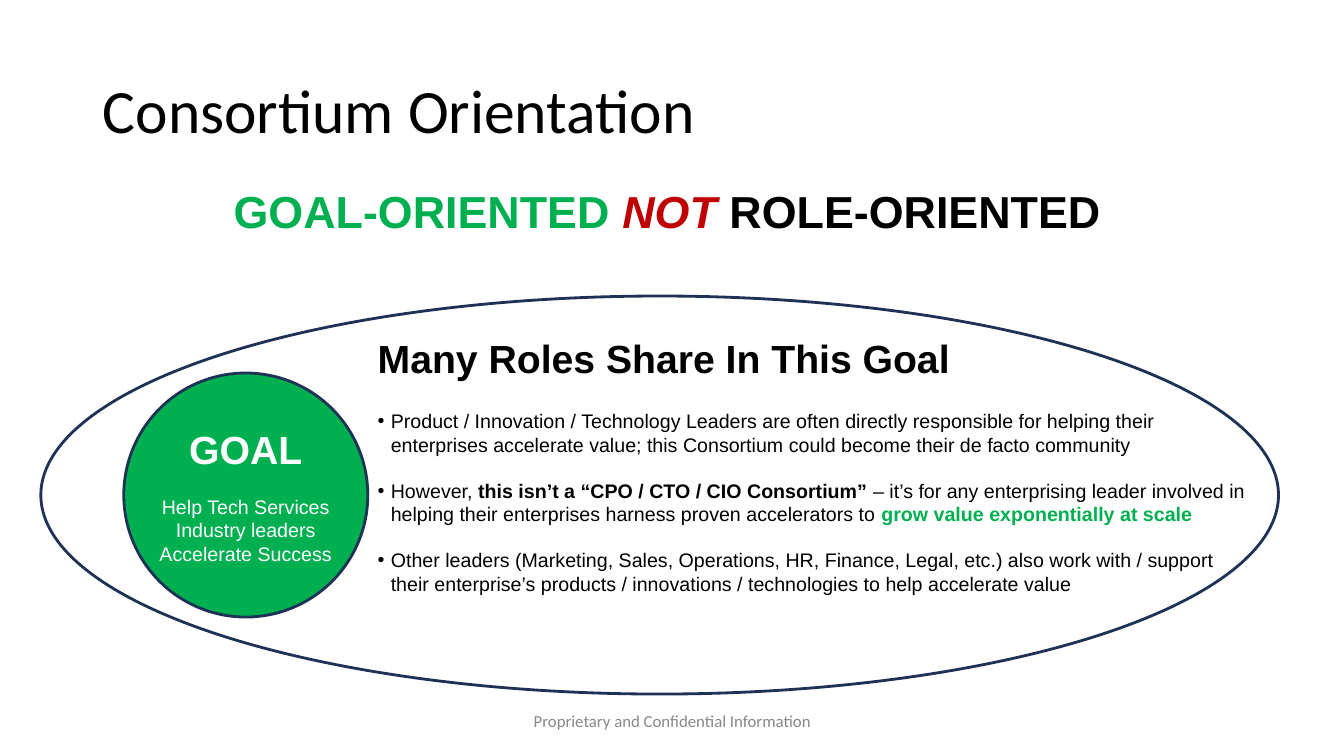
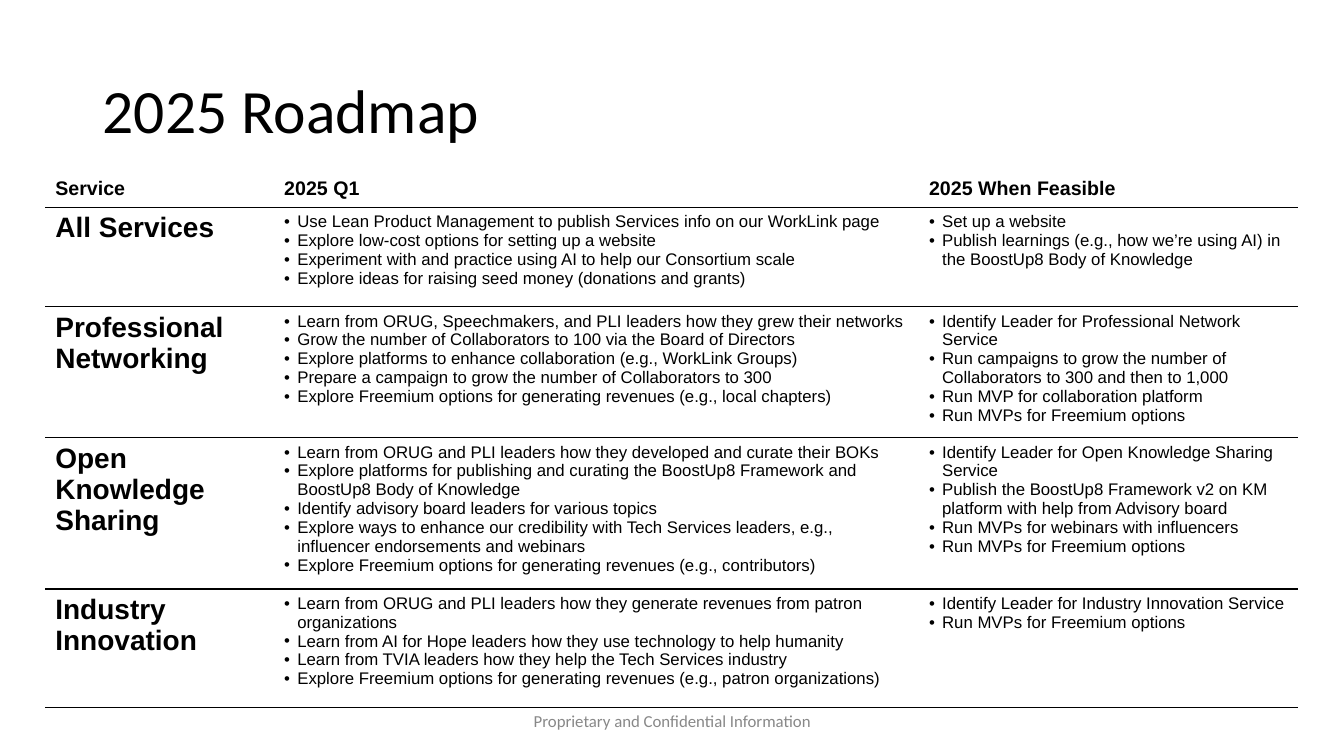
from dataclasses import dataclass

from lxml.etree import SubElement
from pptx import Presentation
from pptx.dml.color import RGBColor
from pptx.enum.shapes import MSO_SHAPE
from pptx.enum.text import MSO_ANCHOR, PP_ALIGN
from pptx.oxml.ns import qn
from pptx.util import Cm, Pt

BLACK = RGBColor(0x00, 0x00, 0x00)
WHITE = RGBColor(0xFF, 0xFF, 0xFF)
GREEN = RGBColor(0x00, 0xB0, 0x50)
RED = RGBColor(0xC0, 0x00, 0x00)
NAVY = RGBColor(0x1E, 0x32, 0x56)
GREY = RGBColor(0x88, 0x88, 0x88)
BODY_FONT = "Arial"
TITLE_FONT = "Calibri"
NO_GRID_STYLE = "{2D5ABB26-0587-4C30-8999-92F81FD0307C}"
BULLET_INDENT = Cm(0.33)
BLANK_LINE = Pt(16)


@dataclass
class Box:
    """A rectangle measured in centimetres."""

    left: float
    top: float
    width: float
    height: float

    def inner(self, left, top, width, height):
        """Return a box whose corner is counted from this box's corner."""
        return Box(self.left + left, self.top + top, width, height)

    def lengths(self):
        """Return the four lengths in the order that shapes take them."""
        return Cm(self.left), Cm(self.top), Cm(self.width), Cm(self.height)


SLIDE = Box(0, 0, 33.87, 19.05)
TITLE = Box(2.34, 1.02, 24.87, 3.68)
FOOTER = Box(11.23, 17.65, 11.43, 1.02)
MOTTO = Box(5.41, 4.67, 22.81, 2.13)
ORIENTATION = Box(1.03, 7.46, 31.19, 10.03)
ROADMAP = Box(1.14, 4.34, 31.57, 13.03)

ROLES = [
    [("Product / Innovation / Technology Leaders are often directly responsible for helping their\n"
      "enterprises accelerate value; this Consortium could become their de facto community", {})],
    [("However, ", {}),
     ("this isn’t a “CPO / CTO / CIO Consortium”", {"bold": True}),
     (" – it’s for any enterprising leader involved in\n"
      "helping their enterprises harness proven accelerators to ", {}),
     ("grow value exponentially at scale", {"bold": True, "color": GREEN})],
    [("Other leaders (Marketing, Sales, Operations, HR, Finance, Legal, etc.) also work with / support\n"
      "their enterprise’s products / innovations / technologies to help accelerate value", {})],
]

COLUMN_WIDTHS = [5.77, 16.25, 9.55]
ROW_HEIGHTS = [0.89, 2.5, 3.1, 3.56, 2.98]
HEADINGS = ["Service", "2025 Q1", "2025 When Feasible"]
SERVICES = [
    (["All Services"],
     ["Use Lean Product Management to publish Services info on our WorkLink page",
      "Explore low-cost options for setting up a website",
      "Experiment with and practice using AI to help our Consortium scale",
      "Explore ideas for raising seed money (donations and grants)"],
     ["Set up a website",
      "Publish learnings (e.g., how we’re using AI) in the BoostUp8 Body of Knowledge"]),
    (["Professional Networking"],
     ["Learn from ORUG, Speechmakers, and PLI leaders how they grew their networks",
      "Grow the number of Collaborators to 100 via the Board of Directors",
      "Explore platforms to enhance collaboration (e.g., WorkLink Groups)",
      "Prepare a campaign to grow the number of Collaborators to 300",
      "Explore Freemium options for generating revenues (e.g., local chapters)"],
     ["Identify Leader for Professional Network Service",
      "Run campaigns to grow the number of Collaborators to 300 and then to 1,000",
      "Run MVP for collaboration platform",
      "Run MVPs for Freemium options"]),
    (["Open Knowledge Sharing"],
     ["Learn from ORUG and PLI leaders how they developed and curate their BOKs",
      "Explore platforms for publishing and curating the BoostUp8 Framework and "
      "BoostUp8 Body of Knowledge",
      "Identify advisory board leaders for various topics",
      "Explore ways to enhance our credibility with Tech Services leaders, e.g., "
      "influencer endorsements and webinars",
      "Explore Freemium options for generating revenues (e.g., contributors)"],
     ["Identify Leader for Open Knowledge Sharing Service",
      "Publish the BoostUp8 Framework v2 on KM platform with help from Advisory board",
      "Run MVPs for webinars with influencers",
      "Run MVPs for Freemium options"]),
    (["Industry", "Innovation"],
     ["Learn from ORUG and PLI leaders how they generate revenues from patron organizations",
      "Learn from AI for Hope leaders how they use technology to help humanity",
      "Learn from TVIA leaders how they help the Tech Services industry",
      "Explore Freemium options for generating revenues (e.g., patron organizations)"],
     ["Identify Leader for Industry Innovation Service",
      "Run MVPs for Freemium options"]),
]


def add_run(paragraph, text, size, font=BODY_FONT, color=BLACK, bold=False, italic=False):
    """Add styled text, turning each newline into a line break."""
    for number, line in enumerate(text.split("\n")):
        if number:
            paragraph.add_line_break()
        run = paragraph.add_run()
        run.text = line
        run.font.size = Pt(size)
        run.font.name = font
        run.font.color.rgb = color
        run.font.bold = bold
        run.font.italic = italic


def add_bullet(paragraph):
    """Give a paragraph a hanging round bullet."""
    properties = paragraph._p.get_or_add_pPr()
    properties.set("marL", str(BULLET_INDENT))
    properties.set("indent", str(-BULLET_INDENT))
    color = SubElement(properties, qn("a:buClr"))
    SubElement(color, qn("a:srgbClr"), val=str(BLACK))
    SubElement(properties, qn("a:buFont"), typeface=BODY_FONT)
    SubElement(properties, qn("a:buChar"), char="•")


def next_paragraph(frame, number):
    """Return the first paragraph of a frame, or a new one after it."""
    return frame.add_paragraph() if number else frame.paragraphs[0]


def add_text(slide, box, paragraphs, size, font=BODY_FONT, anchor=MSO_ANCHOR.TOP,
             align=PP_ALIGN.LEFT, line_spacing=1.0, bulleted=False):
    """Place a text box of paragraphs, each a list of runs with their styles."""
    frame = slide.shapes.add_textbox(*box.lengths()).text_frame
    frame.word_wrap = True
    frame.vertical_anchor = anchor
    for number, runs in enumerate(paragraphs):
        paragraph = next_paragraph(frame, number)
        paragraph.alignment = align
        paragraph.line_spacing = line_spacing
        if number:
            paragraph.space_before = BLANK_LINE
        if bulleted:
            add_bullet(paragraph)
        for text, style in runs:
            add_run(paragraph, text, size, font, **style)


def add_ellipse(slide, box, fill=None):
    """Place a navy-outlined ellipse, filled if a colour is given."""
    ellipse = slide.shapes.add_shape(MSO_SHAPE.OVAL, *box.lengths())
    ellipse.shadow.inherit = False
    ellipse.line.color.rgb = NAVY
    ellipse.line.width = Pt(2)
    if fill is None:
        ellipse.fill.background()
    else:
        ellipse.fill.solid()
        ellipse.fill.fore_color.rgb = fill
    return ellipse


def add_goal(slide, box):
    """Place the green goal circle with its text."""
    frame = add_ellipse(slide, box, GREEN).text_frame
    frame.word_wrap = False
    frame.vertical_anchor = MSO_ANCHOR.MIDDLE
    frame.margin_left = frame.margin_right = frame.margin_top = frame.margin_bottom = 0
    goal = frame.paragraphs[0]
    add_run(goal, "GOAL", 28, color=WHITE, bold=True)
    mission = frame.add_paragraph()
    mission.space_before = BLANK_LINE
    add_run(mission, "Help Tech Services\nIndustry leaders\nAccelerate Success", 14, color=WHITE)
    goal.alignment = mission.alignment = PP_ALIGN.CENTER


def add_orientation(slide, box):
    """Place the wide ellipse with the goal and the roles that share it."""
    add_goal(slide, box.inner(2.09, 1.94, 6.15, 6.15))
    add_ellipse(slide, box)
    add_text(slide, box.inner(8.24, 0.85, 15.5, 1.45),
             [[("Many Roles Share In This Goal", {"bold": True})]], 28)
    add_text(slide, box.inner(8.24, 2.73, 22.76, 6.25), ROLES, 14, bulleted=True)


def fill_cell(cell, lines, size, bold=False, bulleted=False):
    """Write lines into an unfilled cell with a rule below it."""
    properties = cell._tc.get_or_add_tcPr()
    rule = SubElement(properties, qn("a:lnB"), w=str(Pt(1)))
    color = SubElement(SubElement(rule, qn("a:solidFill")), qn("a:srgbClr"))
    color.set("val", str(BLACK))
    cell.fill.background()
    for number, line in enumerate(lines):
        paragraph = next_paragraph(cell.text_frame, number)
        if bulleted:
            add_bullet(paragraph)
        add_run(paragraph, line, size, bold=bold)


def add_roadmap(slide, box):
    """Place the table of services and their plans."""
    frame = slide.shapes.add_table(len(ROW_HEIGHTS), len(COLUMN_WIDTHS), *box.lengths())
    table = frame.table
    table.first_row = table.horz_banding = False
    table._tbl.tblPr.find(qn("a:tableStyleId")).text = NO_GRID_STYLE
    for column, width in zip(table.columns, COLUMN_WIDTHS):
        column.width = Cm(width)
    for row, height in zip(table.rows, ROW_HEIGHTS):
        row.height = Cm(height)
    for column, heading in enumerate(HEADINGS):
        fill_cell(table.cell(0, column), [heading], 14, bold=True)
    for row, (service, *plans) in enumerate(SERVICES, 1):
        fill_cell(table.cell(row, 0), service, 20, bold=True)
        for column, plan in enumerate(plans, 1):
            fill_cell(table.cell(row, column), plan, 12, bulleted=True)


def add_page(deck, title):
    """Add a blank slide with the shared title and footer."""
    slide = deck.slides.add_slide(deck.slide_layouts[6])
    add_text(slide, TITLE, [[(title, {})]], 44, TITLE_FONT, MSO_ANCHOR.MIDDLE, line_spacing=0.9)
    add_text(slide, FOOTER, [[("Proprietary and Confidential Information", {"color": GREY})]],
             12, TITLE_FONT, MSO_ANCHOR.MIDDLE, PP_ALIGN.CENTER)
    return slide


def main():
    """Build both slides and save the deck."""
    deck = Presentation()
    deck.slide_width, deck.slide_height = Cm(SLIDE.width), Cm(SLIDE.height)

    orientation = add_page(deck, "Consortium Orientation")
    motto = [("GOAL-ORIENTED ", {"color": GREEN, "bold": True}),
             ("NOT ", {"color": RED, "bold": True, "italic": True}),
             ("ROLE-ORIENTED", {"bold": True})]
    add_text(orientation, MOTTO, [motto], 32, align=PP_ALIGN.CENTER, line_spacing=0.9)
    add_orientation(orientation, ORIENTATION)

    roadmap = add_page(deck, "2025 Roadmap")
    add_roadmap(roadmap, ROADMAP)
    deck.save("out.pptx")


if __name__ == "__main__":
    main()
